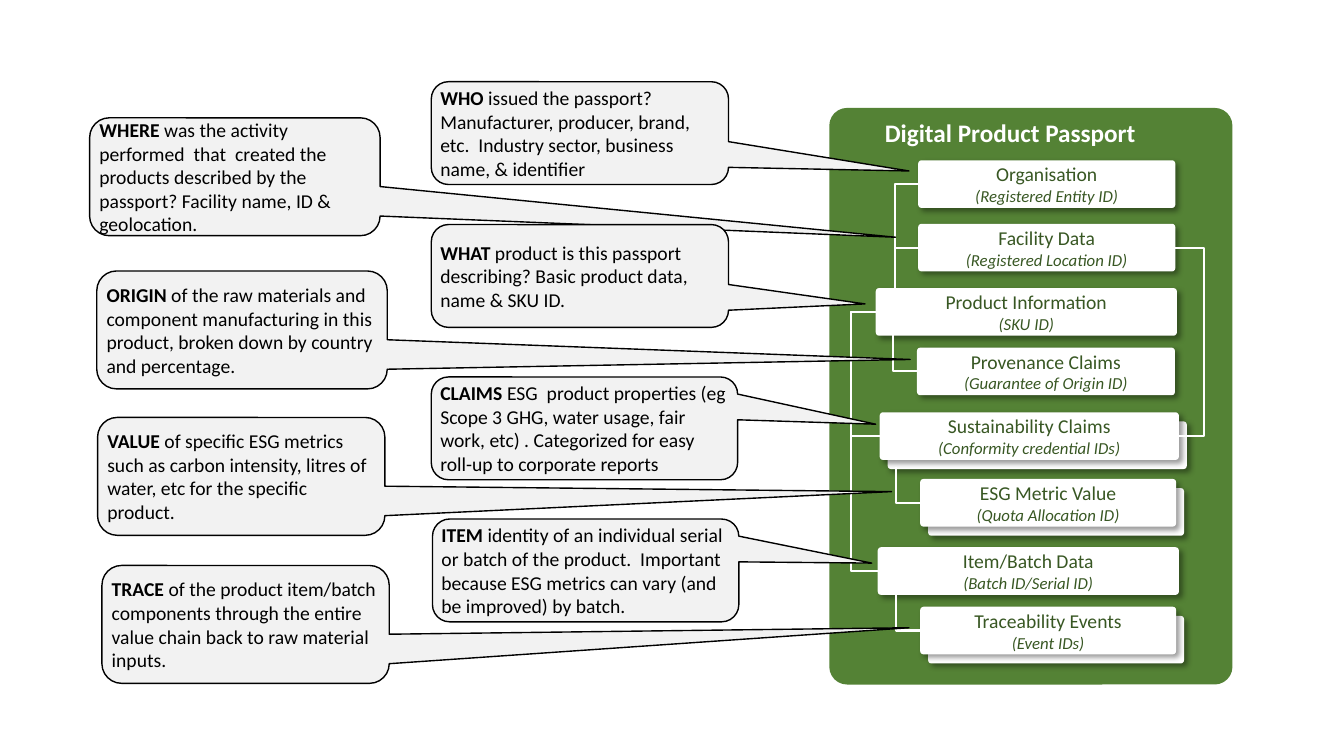
"""Digital product passport: a stack of linked records with explanatory callouts."""
from lxml import etree
from pptx import Presentation
from pptx.dml.color import RGBColor
from pptx.enum.shapes import MSO_CONNECTOR, MSO_SHAPE
from pptx.enum.text import MSO_ANCHOR, MSO_AUTO_SIZE, PP_ALIGN
from pptx.oxml import parse_xml
from pptx.oxml.ns import nsdecls, qn
from pptx.util import Cm, Pt

ROUNDED = MSO_SHAPE.ROUNDED_RECTANGLE
CALLOUT = MSO_SHAPE.ROUNDED_RECTANGULAR_CALLOUT
ELBOW = MSO_CONNECTOR.ELBOW
MIDDLE = MSO_ANCHOR.MIDDLE
FIT_SHAPE = MSO_AUTO_SIZE.SHAPE_TO_FIT_TEXT
LEFT, CENTER = PP_ALIGN.LEFT, PP_ALIGN.CENTER
LEFT_SIDE, RIGHT_SIDE = 1, 3

COLORS = {"panel": "548235", "white": "FFFFFF", "record": "385723",
          "callout": "F2F2F2", "black": "000000"}
FORMATS = {
    "title": {"size": Pt(18), "bold": True, "color": "white"},
    "record": {"size": Pt(14), "color": "record"},
    "identifier": {"size": Pt(12), "italic": True, "color": "record"},
    "keyword": {"size": Pt(14), "bold": True, "color": "black"},
    "body": {"size": Pt(14), "color": "black"},
}
FRAME = {"word_wrap": True, "vertical_anchor": MIDDLE,
         "margin_left": Cm(0.1), "margin_right": Cm(0.1),
         "margin_top": Cm(0.13), "margin_bottom": Cm(0.13)}
CARD_HEIGHT = 1.2
SHADOW = (f'<a:outerShdw {nsdecls("a")} blurRad="50800" dist="38100" dir="2700000" '
          'algn="tl" rotWithShape="0"><a:srgbClr val="000000"><a:alpha val="40000"/>'
          '</a:srgbClr></a:outerShdw>')

deck = Presentation()
deck.slide_width, deck.slide_height = Cm(33.87), Cm(19.05)
page = deck.slides.add_slide(deck.slide_layouts[6])


def add_block(kind, area, fill, adjustments):
    """Add a filled preset shape without outline or shadow."""
    block = page.shapes.add_shape(kind, *(Cm(length) for length in area))
    block.shadow.inherit = False
    block.fill.solid()
    block.fill.fore_color.rgb = RGBColor.from_string(COLORS[fill])
    block.line.fill.background()
    for index, value in enumerate(adjustments):
        block.adjustments[index] = value
    return block


def write(box, paragraphs, align, frame):
    """Fill a box with paragraphs of (text, format name) spans."""
    for name, value in frame.items():
        setattr(box.text_frame, name, value)
    for index, spans in enumerate(paragraphs):
        para = box.text_frame.paragraphs[0] if index == 0 else box.text_frame.add_paragraph()
        para.alignment = align
        for text, style in spans:
            span = para.add_run()
            span.text = text
            span.font.name = "Calibri"
            for name, value in FORMATS[style].items():
                if name == "color":
                    span.font.color.rgb = RGBColor.from_string(COLORS[value])
                else:
                    setattr(span.font, name, value)


add_block(ROUNDED, (20.9, 2.72, 10.16, 14.53), "panel", [0.044])
title = page.shapes.add_textbox(Cm(22.02), Cm(2.84), Cm(6.88), Cm(1.02))
write(title, [[("Digital Product Passport", "title")]], CENTER,
      {"word_wrap": False, "auto_size": FIT_SHAPE})

records = [
    ("Organisation", "(Registered Entity ID)", 23.14, 4.04, 6.48, False),
    ("Facility Data", "(Registered Location ID)", 23.14, 5.64, 6.48, False),
    ("Product Information", "(SKU ID)", 22.07, 7.26, 7.59, False),
    ("Provenance Claims", "(Guarantee of Origin ID)", 23.11, 8.76, 6.5, False),
    ("Item/Batch Data", "(Batch ID/Serial ID)", 22.12, 13.79, 7.59, False),
    ("Traceability Events", "(Event IDs)", 23.19, 15.29, 6.45, True),
    ("ESG Metric Value", "(Quota Allocation ID)", 23.19, 12.07, 6.45, True),
    ("Sustainability Claims", "(Conformity credential IDs)", 22.17, 10.39, 7.54, True),
]
cards = {}
for name, identifier, left, top, width, stacked in records:
    offsets = [(0.2, 0.23), (0, 0)] if stacked else [(0, 0)]
    for right, down in offsets:
        card = add_block(ROUNDED, (left + right, top + down, width, CARD_HEIGHT), "white", [0.07])
        card._element.spPr.find(qn("a:effectLst")).append(parse_xml(SHADOW))
    write(card, [[(name, "record")], [(identifier, "identifier")]], CENTER, FRAME)
    cards[name] = card

branches = [
    ("Organisation", 22.56, 7.26),
    ("Facility Data", 22.56, 7.45),
    ("Provenance Claims", 22.5, 8.18),
    ("Traceability Events", 22.58, 14.68),
    ("ESG Metric Value", 22.58, 11.76),
]
brackets = [
    ("Item/Batch Data", "Product Information", LEFT_SIDE, 21.44),
    ("Sustainability Claims", "Product Information", LEFT_SIDE, 21.44),
    ("Facility Data", "Sustainability Claims", RIGHT_SIDE, 30.35),
]
links = []
for name, x, y in branches:
    link = page.shapes.add_connector(ELBOW, 0, 0, Cm(x), Cm(y))
    link.begin_connect(cards[name], LEFT_SIDE)
    link._element.spPr.find(qn("a:prstGeom")).set("prst", "bentConnector2")
    links.append(link)
for start, end, side, bend in brackets:
    link = page.shapes.add_connector(ELBOW, 0, 0, 0, 0)
    link.begin_connect(cards[start], side)
    link.end_connect(cards[end], side)
    ratio = (Cm(bend) - link.begin_x) / (link.end_x - link.begin_x)
    guides = link._element.spPr.find(qn("a:prstGeom")).find(qn("a:avLst"))
    etree.SubElement(guides, qn("a:gd"), name="adj1", fmla=f"val {round(ratio * 100000)}")
    links.append(link)
for link in links:
    link.line.color.rgb = RGBColor.from_string(COLORS["white"])
    link.line.width = Pt(1.5)
    etree.SubElement(link._element.spPr, qn("a:effectLst"))

callouts = [
    ((10.87, 2.06, 7.49, 2.59), (22.91, 4.31), "WHO", [
        " issued the passport?",
        "Manufacturer, producer, brand, etc.  Industry sector, business name, & identifier"]),
    ((2.26, 2.97, 7.32, 2.97), (22.57, 5.98), "WHERE", [
        " was the activity performed  that  created the products described by the passport? "
        "Facility name, ID & geolocation."]),
    ((10.87, 5.66, 7.49, 2.59), (21.8, 7.66), "WHAT", [
        " product is this passport describing? Basic product data, name & SKU ID."]),
    ((2.44, 6.83, 7.32, 2.97), (22.94, 9.06), "ORIGIN", [
        " of the raw materials and component manufacturing in this product, "
        "broken down by country and percentage."]),
    ((10.9, 13.08, 7.72, 2.59), (21.97, 14.19), "ITEM", [
        " identity of an individual serial or batch of the product.  Important because "
        "ESG metrics can vary (and be improved) by batch."]),
    ((2.57, 14.25, 7.24, 2.97), (22.91, 15.82), "TRACE", [
        " of the product item/batch components through the entire value chain "
        "back to raw material inputs."]),
    ((10.87, 9.5, 7.72, 2.59), (22.07, 10.69), "CLAIMS", [
        " ESG  product properties (eg Scope 3 GHG, water usage, fair work, etc) . "
        "Categorized for easy roll-up to corporate reports"]),
    ((2.46, 10.52, 7.24, 2.97), (22.47, 12.39), "VALUE", [
        " of specific ESG metrics such as carbon intensity, litres of water, etc "
        "for the specific product."]),
]
for area, tip, keyword, texts in callouts:
    left, top, width, height = area
    reach = [(tip[0] - left) / width - 0.5, (tip[1] - top) / height - 0.5]
    callout = add_block(CALLOUT, area, "callout", reach + [0.167])
    callout.line.color.rgb = RGBColor.from_string(COLORS["black"])
    callout.line.width = Pt(1)
    paragraphs = [[(text, "body")] for text in texts]
    paragraphs[0].insert(0, (keyword, "keyword"))
    write(callout, paragraphs, LEFT, FRAME)

deck.save("out.pptx")
